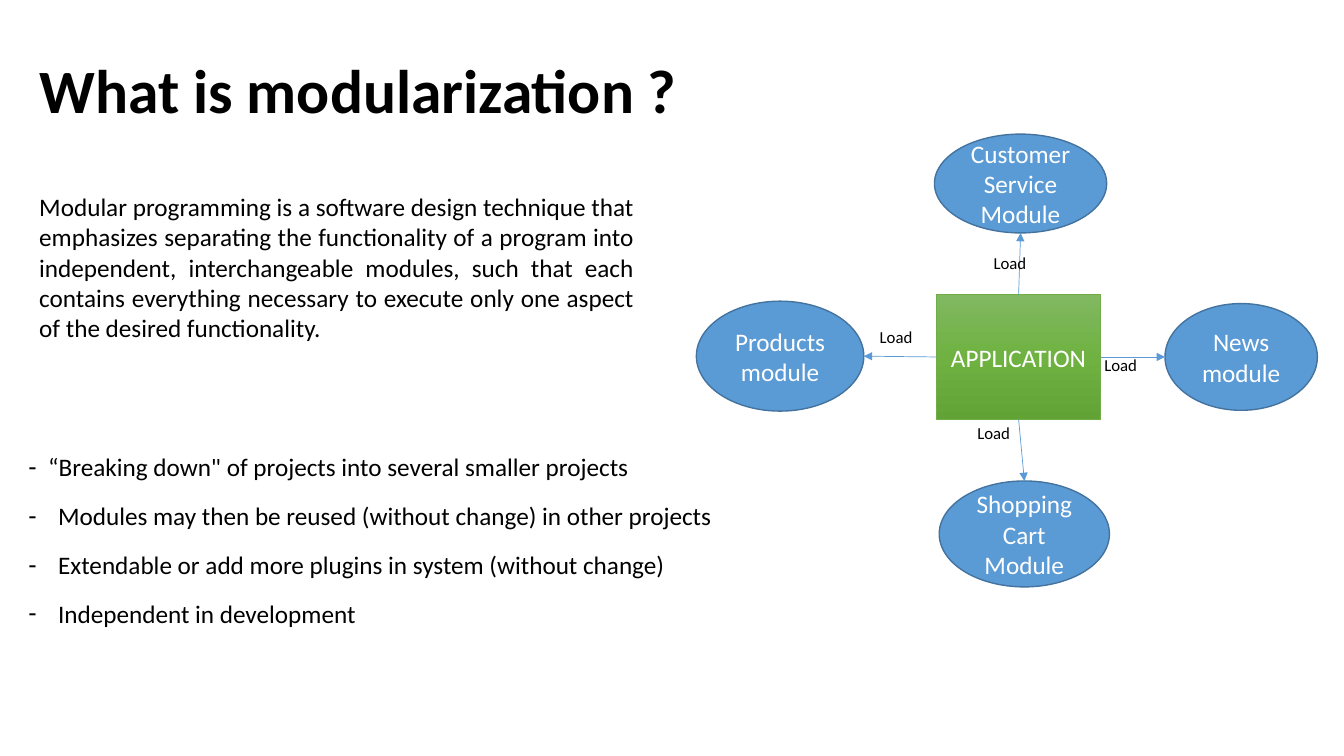
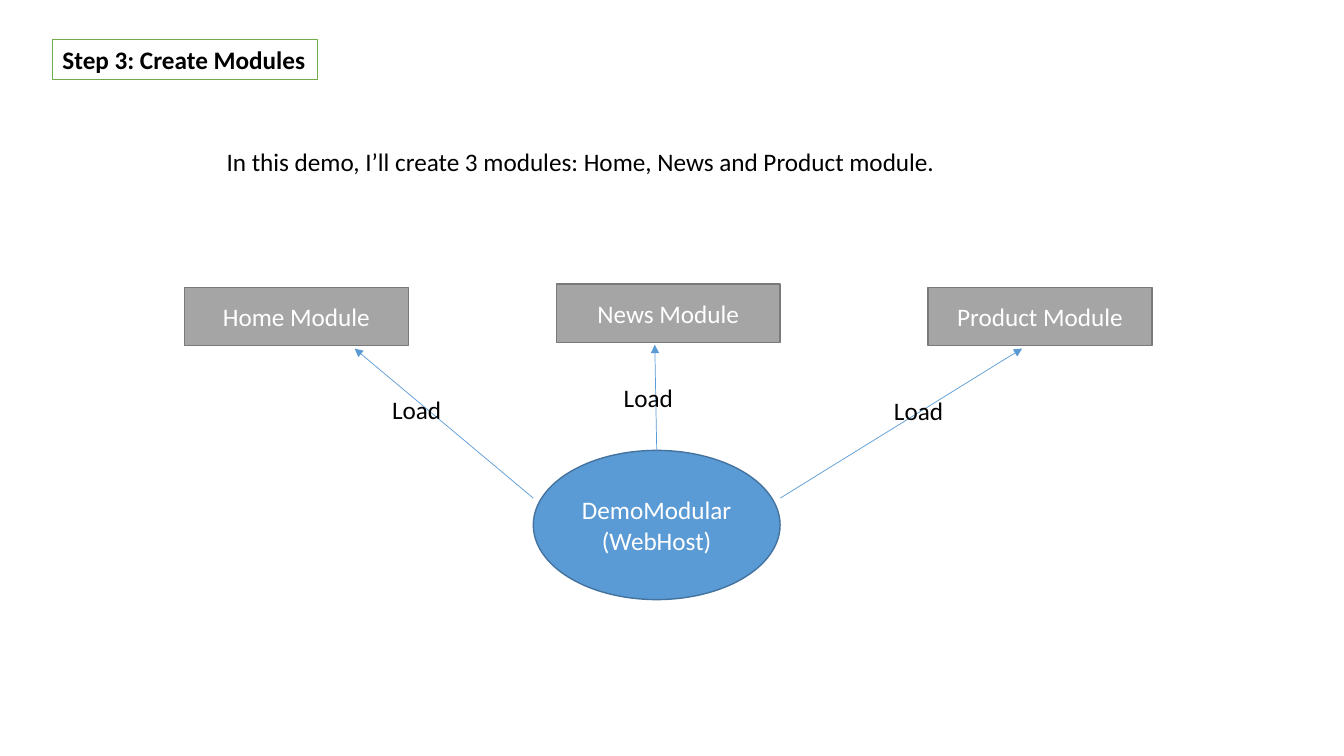
"""Build two slides that explain modularization with module diagrams."""
from copy import deepcopy

from lxml.etree import SubElement as Sub
from pptx import Presentation
from pptx.dml.color import RGBColor as RGB
from pptx.enum.shapes import MSO_CONNECTOR as Link, MSO_SHAPE as Kind
from pptx.enum.text import MSO_ANCHOR as Anchor, MSO_AUTO_SIZE as Fit, PP_ALIGN as Align
from pptx.oxml.ns import qn
from pptx.util import Cm, Pt

FONT = "Calibri"
COLORS = {
    "ink": "000000", "white": "FFFFFF", "green": "70AD47",
    "blue": "5B9BD5", "navy": "43739E", "gray": "A5A5A5", "slate": "7A7A7A",
    "light": "81B861", "mid": "6FB242", "deep": "62A336",
}


def color(name):
    """Return the named colour."""
    return RGB.from_string(COLORS[name])


def place(shape, box):
    """Move a shape to a box given in centimetres."""
    shape.left, shape.top, shape.width, shape.height = map(Cm, box)


def write(shape, text, size=18, ink="ink", align=Align.LEFT, bold=False, wrap=True, anchor=Anchor.TOP):
    """Set and format the text of a shape."""
    frame = shape.text_frame
    frame.text = text
    frame.auto_size = Fit.NONE
    frame.word_wrap = wrap
    frame.vertical_anchor = anchor
    for par in frame.paragraphs:
        par.alignment = align
        for run in par.runs:
            font = run.font
            font.name, font.size, font.bold = FONT, Pt(size), bold
            font.color.rgb = color(ink)
    return frame


def paint(shape, fill, line, width=1):
    """Give a shape a plain fill and outline."""
    shape.fill.solid()
    shape.fill.fore_color.rgb = color(fill)
    shape.line.color.rgb = color(line)
    shape.line.width = Pt(width)


def blend(shape, names):
    """Fill a shape with three colours from top to bottom."""
    fill = shape.fill
    fill.gradient()
    fill.gradient_angle = 270
    stops = shape.element.spPr.find(".//" + qn("a:gsLst"))
    stops.insert(1, deepcopy(stops[0]))
    for i, (stop, name) in enumerate(zip(fill.gradient_stops, names)):
        stop.color.rgb = color(name)
        stop.position = i / 2


def head(slide, text, box, **look):
    """Fill and move the title."""
    title = slide.shapes.title
    place(title, box)
    write(title, text, bold=True, **look)
    return title


def bullets(slide, items, box):
    """Write a dashed list, with its first indent tighter."""
    body = slide.placeholders[1]
    place(body, box)
    frame = write(body, "\n".join(items))
    for i, par in enumerate(frame.paragraphs):
        par.space_before, par.space_after = Pt(0), Pt(13.3)
        props = par._p.get_or_add_pPr()
        indent = Cm(0.75 if i else 0.5)
        props.set("marL", str(indent))
        props.set("indent", str(-indent))
        Sub(props, qn("a:buChar")).set("char", "-")


def note(shapes, text, box, **look):
    """Add a text box."""
    write(shapes.add_textbox(*map(Cm, box)), text, **look)


def node(shapes, kind, text, box, fill="blue", line="navy", width=1):
    """Add a filled shape with centred white text."""
    shape = shapes.add_shape(kind, *map(Cm, box))
    shape.shadow.inherit = False
    paint(shape, fill, line, width)
    write(shape, text, ink="white", align=Align.CENTER, anchor=Anchor.MIDDLE)
    return shape


def spot(shape, across, down):
    """Return the point at these fractions of a shape."""
    return int(shape.left + across * shape.width), int(shape.top + down * shape.height)


def arrow(shapes, start, end):
    """Add a thin arrow between two points."""
    link = shapes.add_connector(Link.STRAIGHT, *start, *end)
    link.line.color.rgb = color("blue")
    link.line.width = Pt(0.5)
    Sub(link.line._get_or_add_ln(), qn("a:tailEnd")).set("type", "triangle")
    Sub(link._element.spPr, qn("a:effectLst"))


def intro(deck):
    """Build the slide on what modularization is."""
    slide = deck.slides.add_slide(deck.slide_layouts[1])
    title = head(slide, "What is modularization ?", (0.74, 0.51, 29.21, 3.68),
                 size=44, anchor=Anchor.MIDDLE)
    title.text_frame.paragraphs[0].line_spacing = 0.9
    note(slide.shapes,
         "Modular programming is a software design technique that emphasizes "
         "separating the functionality of a program into independent, "
         "interchangeable modules, such that each contains everything necessary "
         "to execute only one aspect of the desired functionality.",
         (0.74, 4.7, 15.49, 4.11), align=Align.JUSTIFY)
    bullets(slide, (
        "“Breaking down\" of projects into several smaller projects",
        "Modules may then be reused (without change) in other projects",
        "Extendable or add more plugins in system (without change)",
        "Independent in development",
    ), (0.46, 11.25, 18.5, 4.8))

    shapes = slide.shapes.add_group_shape().shapes
    app = node(shapes, Kind.RECTANGLE, "APPLICATION", (23.6, 7.42, 4.14, 3.15),
               line="green", width=0.5)
    blend(app, ("light", "mid", "deep"))
    parts = (
        ("Customer Service Module", (23.55, 3.38, 4.34, 2.49), (0.5, 0), (24.79, 6.25)),
        ("News module", (29.36, 7.65, 3.84, 2.69), (1, 0.5), (27.58, 8.81)),
        ("Products module", (17.55, 7.59, 4.22, 2.77), (0, 0.5), (21.92, 8.1)),
        ("Shopping Cart Module", (23.67, 12.12, 4.29, 2.67), (0.5, 1), (24.38, 10.54)),
    )
    for text, box, (x, y), label in parts:
        part = node(shapes, Kind.OVAL, text, box)
        arrow(shapes, spot(app, x, y), spot(part, 1 - x, 1 - y))
        note(shapes, "Load", (*label, 1.35, 0.76), size=12, wrap=False)


def step(deck):
    """Build the slide on creating modules."""
    slide = deck.slides.add_slide(deck.slide_layouts[5])
    shapes = slide.shapes
    title = head(slide, "Step 3: Create Modules", (1.32, 0.99, 6.68, 1.02), wrap=False)
    paint(title, "white", "green")
    note(shapes, "In this demo, I’ll create 3 modules: Home, News and Product module.",
         (5.46, 3.56, 18.57, 1.02), wrap=False)
    host = node(shapes, Kind.OVAL, "DemoModular (WebHost)", (13.44, 11.35, 6.22, 3.76))
    parts = (
        ("Home", 7.24, (0, 0.32), (0.76, 1.05), (9.63, 9.8)),
        ("News", 7.16, (0.5, 0), (0.44, 1.04), (15.47, 9.5)),
        ("Product", 7.24, (1, 0.32), (0.42, 1.05), (22.28, 9.83)),
    )
    for i, (name, top, start, end, label) in enumerate(parts):
        part = node(shapes, Kind.RECTANGLE, f"{name} Module",
                    (4.65 + i * 9.37, top, 5.64, 1.47), "gray", "slate")
        arrow(shapes, spot(host, *start), spot(part, *end))
        note(shapes, "Load", (*label, 1.78, 1.02), wrap=False)


def main():
    """Build and save the deck."""
    deck = Presentation()
    deck.slide_width, deck.slide_height = Cm(33.87), Cm(19.05)
    intro(deck)
    step(deck)
    deck.save("out.pptx")


main()
